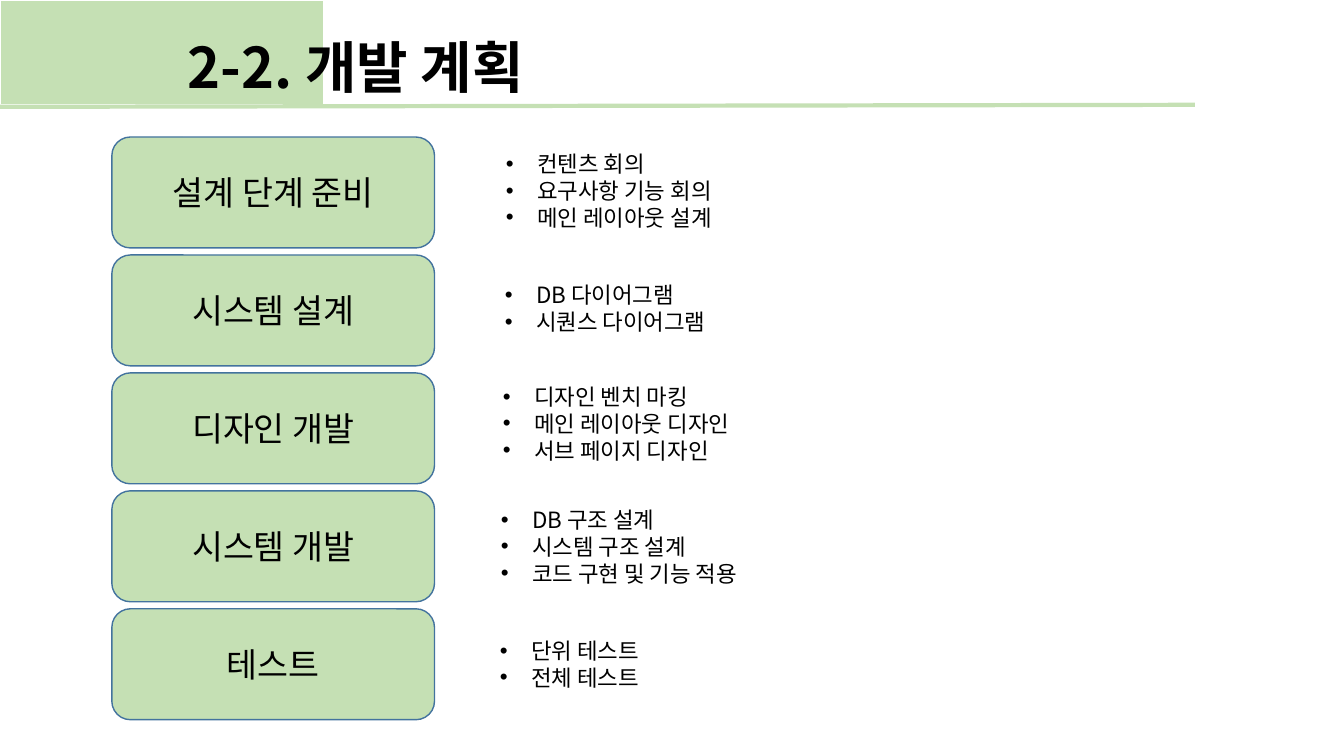
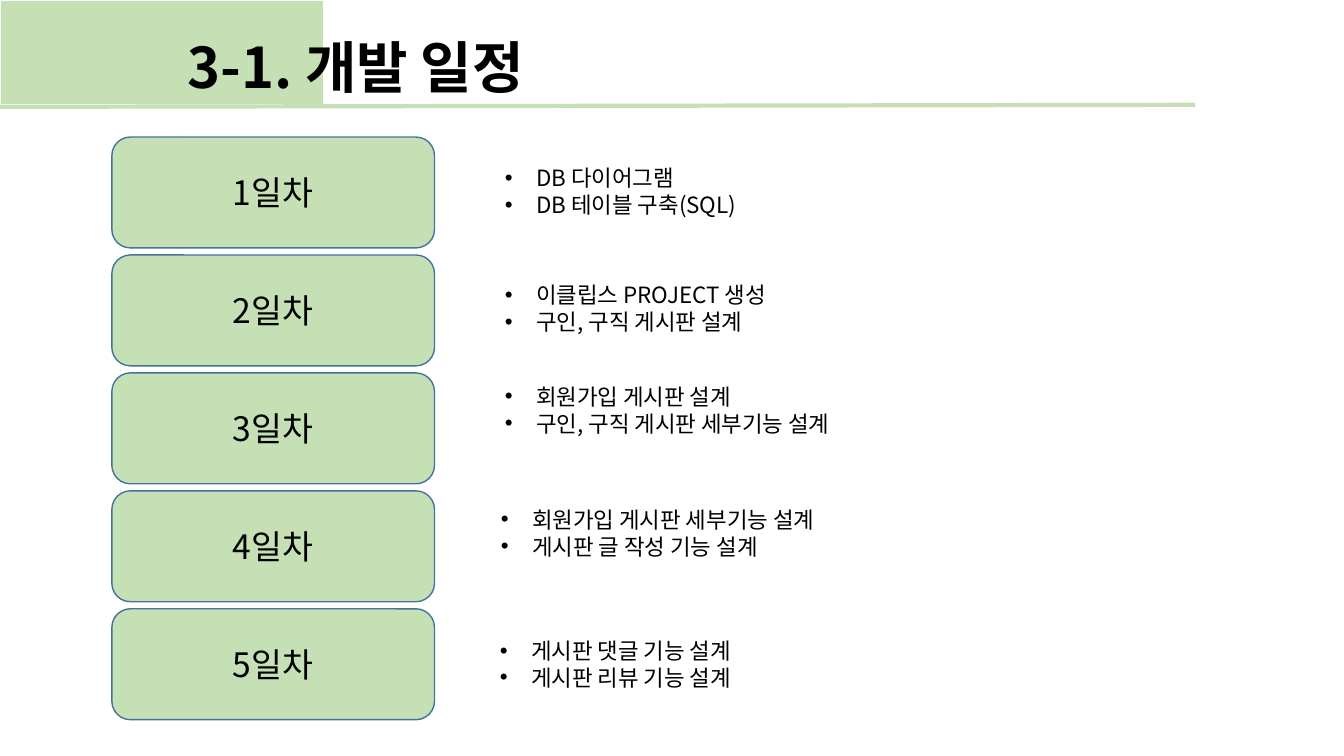
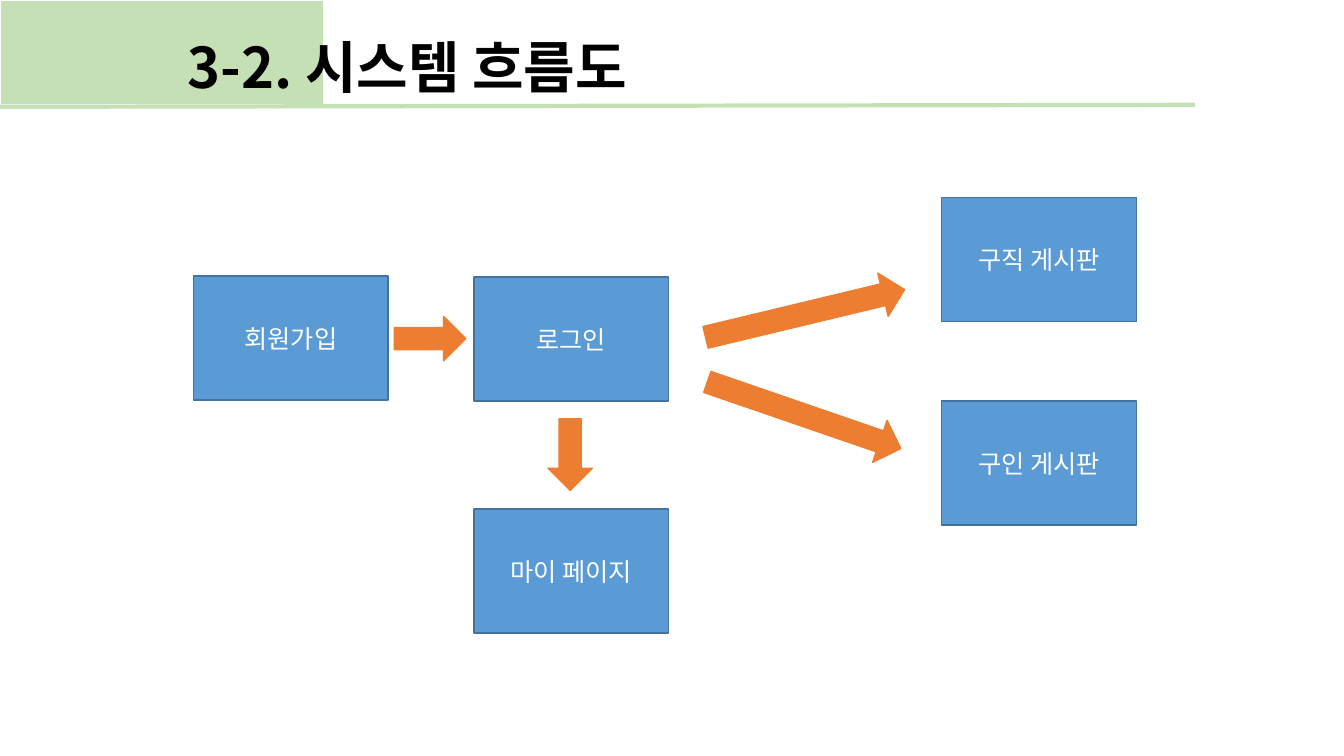
from lxml import etree
from pptx import Presentation
from pptx.dml.color import RGBColor
from pptx.enum.shapes import MSO_CONNECTOR, MSO_SHAPE
from pptx.enum.text import MSO_ANCHOR, MSO_AUTO_SIZE, PP_ALIGN
from pptx.oxml.ns import qn
from pptx.util import Inches, Pt

RECTANGLE, ROUNDED = MSO_SHAPE.RECTANGLE, MSO_SHAPE.ROUNDED_RECTANGLE
ARROW, STRAIGHT = MSO_SHAPE.RIGHT_ARROW, MSO_CONNECTOR.STRAIGHT
TOP, MIDDLE = MSO_ANCHOR.TOP, MSO_ANCHOR.MIDDLE
LEFT, CENTER = PP_ALIGN.LEFT, PP_ALIGN.CENTER
FIT_SHAPE = MSO_AUTO_SIZE.SHAPE_TO_FIT_TEXT

FONT = "Noto Sans CJK KR"
GREEN, BLUE, ORANGE, EDGE = "C5E0B4", "5B9BD5", "ED7D31", "43739E"
BLACK, WHITE = "000000", "FFFFFF"

CARD_LEFT, CARD_TOP, CARD_WIDTH, CARD_HEIGHT = 1.11, 1.36, 3.2, 1.1
ROW_STEP = 1.17
LIST_WIDTH, LINE_HEIGHT = 4.84, 0.27
STEP_WIDTH, STEP_HEIGHT, ARROW_HEIGHT = 1.93, 1.23, 0.44


def write(shape, lines, size, color, align=LEFT, anchor=TOP, bold=False, bullet=False):
    frame = shape.text_frame
    frame.text = "\n".join(lines)
    frame.vertical_anchor = anchor
    for para in frame.paragraphs:
        para.alignment = align
        if bullet:
            props = para._p.get_or_add_pPr()
            props.set("marL", str(Inches(0.31)))
            props.set("indent", str(-Inches(0.31)))
            etree.SubElement(props, qn("a:buFont")).set("typeface", "Arial")
            etree.SubElement(props, qn("a:buChar")).set("char", "•")
        for span in para.runs:
            span.font.name = FONT
            span.font.size = Pt(size)
            span.font.bold = bold
            span.font.color.rgb = RGBColor.from_string(color)
            etree.SubElement(span._r.get_or_add_rPr(), qn("a:ea")).set("typeface", FONT)


def draw(page, kind, left, top, width, height, fill, edge):
    shape = page.shapes.add_shape(kind, Inches(left), Inches(top), Inches(width), Inches(height))
    shape.shadow.inherit = False
    shape.fill.solid()
    shape.fill.fore_color.rgb = RGBColor.from_string(fill)
    shape.line.color.rgb = RGBColor.from_string(edge)
    shape.line.width = Pt(1)
    return shape


deck = Presentation()
deck.slide_width, deck.slide_height = Inches(13.33), Inches(7.5)
layout = deck.slide_layouts[5]
for holder in list(layout.placeholders)[1:]:
    layout.shapes.element.remove(holder.element)

pages = []
for heading, title_width in (("2-2. 개발 계획", 3.99), ("3-1. 개발 일정", 4.1), ("3-2. 시스템 흐름도", 5.16)):
    page = deck.slides.add_slide(layout)
    title = page.shapes.title
    title.left, title.top = Inches(1.76), Inches(0.27)
    title.width, title.height = Inches(title_width), Inches(0.77)
    write(title, [heading], 40, BLACK, bold=True)
    title.text_frame.word_wrap = False
    title.text_frame.auto_size = FIT_SHAPE
    pages.append(page)
plan_page, schedule_page, flow_page = pages

band = draw(plan_page, RECTANGLE, 0, 0, 3.21, 1.04, GREEN, WHITE)
rule = plan_page.shapes.add_connector(STRAIGHT, 0, Inches(1.06), Inches(11.85), Inches(1.04))
rule.line.color.rgb = RGBColor.from_string(GREEN)
rule.line.width = Pt(3)
etree.SubElement(rule.element.spPr, qn("a:effectLst"))
for shared in (band, rule):
    layout.shapes.element.append(shared.element)

plan = [
    ("설계 단계 준비", 4.92, 1.44, ["컨텐츠 회의", "요구사항 기능 회의", "메인 레이아웃 설계"]),
    ("시스템 설계", 4.91, 2.74, ["DB 다이어그램", "시퀀스 다이어그램"]),
    ("디자인 개발", 4.89, 3.75, ["디자인 벤치 마킹", "메인 레이아웃 디자인", "서브 페이지 디자인"]),
    ("시스템 개발", 4.87, 4.97, ["DB 구조 설계", "시스템 구조 설계", "코드 구현 및 기능 적용"]),
    ("테스트", 4.86, 6.27, ["단위 테스트", "전체 테스트"]),
]
schedule = [
    ("1일차", 4.91, 1.58, ["DB 다이어그램", "DB 테이블 구축(SQL)"]),
    ("2일차", 4.91, 2.74, ["이클립스 PROJECT 생성", "구인, 구직 게시판 설계"]),
    ("3일차", 4.91, 3.75, ["회원가입 게시판 설계", "구인, 구직 게시판 세부기능 설계"]),
    ("4일차", 4.87, 4.97, ["회원가입 게시판 세부기능 설계", "게시판 글 작성 기능 설계"]),
    ("5일차", 4.86, 6.27, ["게시판 댓글 기능 설계", "게시판 리뷰 기능 설계"]),
]
for page, stages in ((plan_page, plan), (schedule_page, schedule)):
    for row, (stage, left, top, tasks) in enumerate(stages):
        card = draw(page, ROUNDED, CARD_LEFT, CARD_TOP + row * ROW_STEP,
                    CARD_WIDTH, CARD_HEIGHT, GREEN, EDGE)
        write(card, [stage], 24, BLACK, CENTER, MIDDLE)
        box = page.shapes.add_textbox(Inches(left), Inches(top), Inches(LIST_WIDTH),
                                      Inches(0.1 + LINE_HEIGHT * len(tasks)))
        box.text_frame.word_wrap = True
        box.text_frame.auto_size = FIT_SHAPE
        write(box, tasks, 16, BLACK, bullet=True)

steps = [
    ("회원가입", 1.92, 2.74),
    ("로그인", 4.7, 2.75),
    ("마이 페이지", 4.7, 5.05),
    ("구직 게시판", 9.34, 1.96),
    ("구인 게시판", 9.34, 3.98),
]
for label, left, top in steps:
    step = draw(flow_page, RECTANGLE, left, top, STEP_WIDTH, STEP_HEIGHT, BLUE, EDGE)
    write(step, [label], 18, WHITE, CENTER, MIDDLE)

arrows = [(3.91, 3.14, 0.71, 0), (5.3, 4.29, 0.71, 90), (6.97, 2.89, 2.03, 346.5), (6.96, 3.9, 2.03, 19)]
for left, top, length, angle in arrows:
    arrow = draw(flow_page, ARROW, left, top, length, ARROW_HEIGHT, ORANGE, ORANGE)
    arrow.rotation = angle

deck.save("out.pptx")
